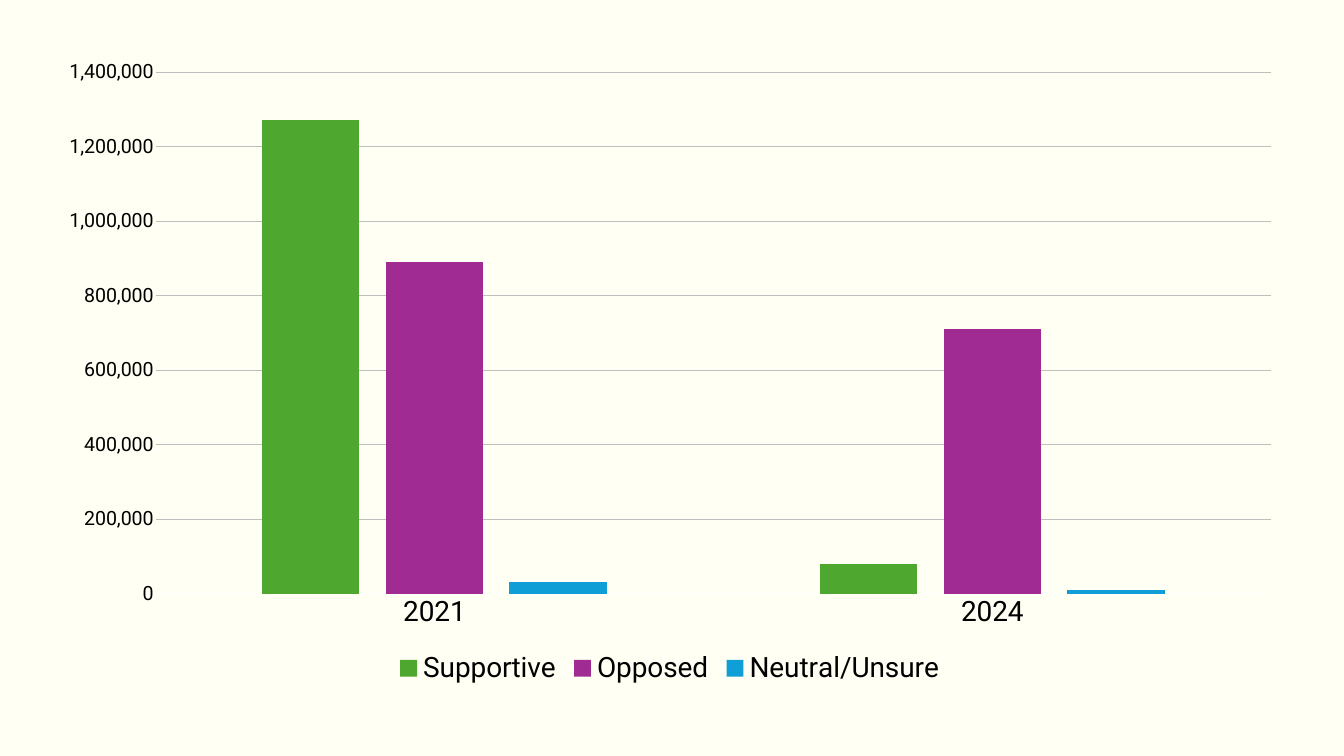
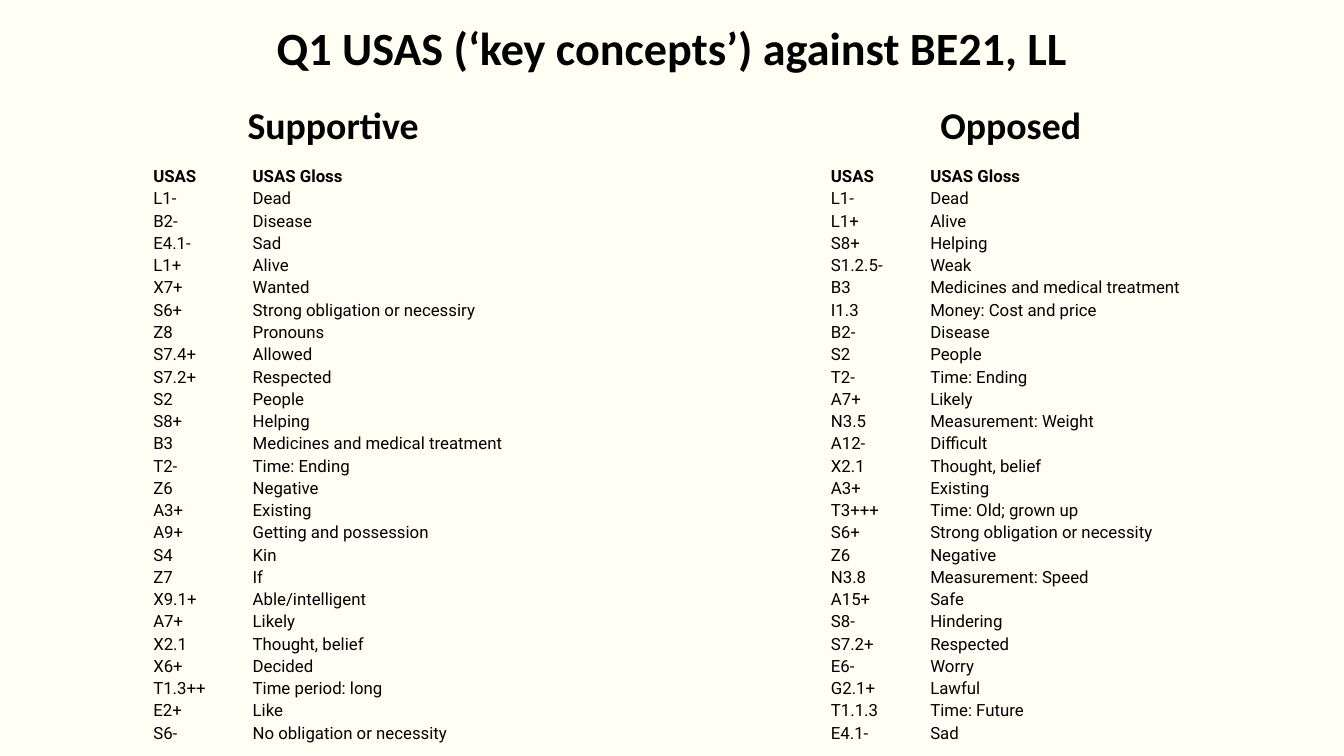
from lxml import etree
from pptx import Presentation
from pptx.chart.data import CategoryChartData
from pptx.dml.color import RGBColor
from pptx.enum.chart import XL_CHART_TYPE, XL_LEGEND_POSITION, XL_TICK_MARK
from pptx.enum.text import MSO_ANCHOR, PP_ALIGN
from pptx.oxml import parse_xml
from pptx.oxml.ns import nsdecls, qn
from pptx.util import Pt

CLUSTERED = XL_CHART_TYPE.COLUMN_CLUSTERED
LEGEND_BOTTOM = XL_LEGEND_POSITION.BOTTOM
NO_TICK = XL_TICK_MARK.NONE
CENTER = PP_ALIGN.CENTER
LEFT = PP_ALIGN.LEFT
MIDDLE = MSO_ANCHOR.MIDDLE
BOTTOM = MSO_ANCHOR.BOTTOM

SLIDE_W, SLIDE_H = 1920, 1080
IVORY, BLACK, WHITE, GRID_GREY = "FFFFF3", "000000", "FFFFFF", "BEBEBE"
HEAD_FONT, BODY_FONT = "Calibri", "Roboto"

YEARS = ["2021", "2024"]
STANCES = [
    ("Supportive", [1270000, 80000], "4EA72E"),
    ("Opposed", [890000, 710000], "A02B93"),
    ("Neutral/Unsure", [30000, 10000], "0F9ED5"),
]

HEADER = ("USAS", "USAS Gloss")
SUPPORTIVE = [
    ("L1-", "Dead"),
    ("B2-", "Disease"),
    ("E4.1-", "Sad"),
    ("L1+", "Alive"),
    ("X7+", "Wanted"),
    ("S6+", "Strong obligation or necessiry"),
    ("Z8", "Pronouns"),
    ("S7.4+", "Allowed"),
    ("S7.2+", "Respected"),
    ("S2", "People"),
    ("S8+", "Helping"),
    ("B3", "Medicines and medical treatment"),
    ("T2-", "Time: Ending"),
    ("Z6", "Negative"),
    ("A3+", "Existing"),
    ("A9+", "Getting and possession"),
    ("S4", "Kin"),
    ("Z7", "If"),
    ("X9.1+", "Able/intelligent"),
    ("A7+", "Likely"),
    ("X2.1", "Thought, belief"),
    ("X6+", "Decided"),
    ("T1.3++", "Time period: long"),
    ("E2+", "Like"),
    ("S6-", "No obligation or necessity"),
]
OPPOSED = [
    ("L1-", "Dead"),
    ("L1+", "Alive"),
    ("S8+", "Helping"),
    ("S1.2.5-", "Weak"),
    ("B3", "Medicines and medical treatment"),
    ("I1.3", "Money: Cost and price"),
    ("B2-", "Disease"),
    ("S2", "People"),
    ("T2-", "Time: Ending"),
    ("A7+", "Likely"),
    ("N3.5", "Measurement: Weight"),
    ("A12-", "Difficult"),
    ("X2.1", "Thought, belief"),
    ("A3+", "Existing"),
    ("T3+++", "Time: Old; grown up"),
    ("S6+", "Strong obligation or necessity"),
    ("Z6", "Negative"),
    ("N3.8", "Measurement: Speed"),
    ("A15+", "Safe"),
    ("S8-", "Hindering"),
    ("S7.2+", "Respected"),
    ("E6-", "Worry"),
    ("G2.1+", "Lawful"),
    ("T1.1.3", "Time: Future"),
    ("E4.1-", "Sad"),
]


def rgb(value):
    return RGBColor.from_string(value)


def set_font(font, size, name=BODY_FONT, bold=False):
    font.size, font.name, font.bold = Pt(size), name, bold
    font.color.rgb = rgb(BLACK)


def write(tf, text, size, name=BODY_FONT, bold=False, align=LEFT):
    tf.word_wrap = True
    p = tf.paragraphs[0]
    p.alignment = align
    r = p.add_run()
    r.text = text
    set_font(r.font, size, name, bold)


def place(sp, x, y, w, h):
    sp.left, sp.top, sp.width, sp.height = Pt(x), Pt(y), Pt(w), Pt(h)


def set_plot_layout(chart, x, y, w, h):
    """Fix the inner plot area, in fractions of the chart."""
    plot_area = chart._chartSpace.chart.plotArea
    for old in plot_area.findall(qn("c:layout")):
        plot_area.remove(old)
    layout = etree.Element(qn("c:layout"))
    manual = etree.SubElement(layout, qn("c:manualLayout"))
    for tag, value in (("layoutTarget", "inner"), ("xMode", "edge"), ("yMode", "edge"),
                       ("x", x), ("y", y), ("w", w), ("h", h)):
        etree.SubElement(manual, qn(f"c:{tag}")).set("val", str(value))
    plot_area.insert(0, layout)


def add_stance_chart(slide, x, y, w, h):
    data = CategoryChartData(number_format="#,##0")
    data.categories = YEARS
    for name, values, _ in STANCES:
        data.add_series(name, values)
    chart = slide.shapes.add_chart(CLUSTERED, Pt(x), Pt(y), Pt(w), Pt(h), data).chart
    set_font(chart.font, 40)
    chart.has_title = False
    chart.has_legend = True
    chart.legend.position = LEGEND_BOTTOM
    chart.legend.include_in_layout = False
    set_font(chart.legend.font, 40)

    plot = chart.plots[0]
    plot.gap_width, plot.overlap, plot.vary_by_categories = 219, -27, False
    for series, (_, _, color) in zip(plot.series, STANCES):
        series.format.fill.solid()
        series.format.fill.fore_color.rgb = rgb(color)

    for axis, size in ((chart.category_axis, 40), (chart.value_axis, 28)):
        axis.major_tick_mark = axis.minor_tick_mark = NO_TICK
        set_font(axis.tick_labels.font, size)
    years, counts = chart.category_axis, chart.value_axis
    counts.minimum_scale, counts.maximum_scale, counts.major_unit = 0, 1400000, 200000
    counts.tick_labels.number_format = "#,##0"
    counts.tick_labels.number_format_is_linked = False
    counts.format.line.fill.background()
    counts.has_major_gridlines = True
    for line, color in ((years.format.line, WHITE), (counts.major_gridlines.format.line, GRID_GREY)):
        line.width = Pt(0.75)
        line.color.rgb = rgb(color)
    set_plot_layout(chart, 0.09, 0.04, 0.89, 0.81)


def set_borders(cell, inner_sides):
    """Draw thin white lines on the inner sides and none on the others."""
    tc_pr = cell._tc.get_or_add_tcPr()
    for i, side in enumerate("LRTB"):
        if side in inner_sides:
            fill = f'<a:solidFill><a:srgbClr val="{WHITE}"/></a:solidFill>'
        else:
            fill = "<a:noFill/>"
        ln = parse_xml(f'<a:ln{side} {nsdecls("a")} w="{Pt(1)}">{fill}</a:ln{side}>')
        tc_pr.insert(i, ln)


def add_concept_table(slide, x, y, w, h, concepts):
    rows = [HEADER] + concepts
    code_w = 142
    table = slide.shapes.add_table(len(rows), 2, Pt(x), Pt(y), Pt(w), Pt(h)).table
    table.horz_banding = table.first_row = False
    table.columns[0].width, table.columns[1].width = Pt(code_w), Pt(w - code_w)
    for i, row in enumerate(rows):
        table.rows[i].height = Pt(h / len(rows))
        for j, text in enumerate(row):
            cell = table.cell(i, j)
            cell.fill.background()
            cell.vertical_anchor = BOTTOM
            cell.margin_left = cell.margin_right = cell.margin_top = Pt(3)
            cell.margin_bottom = 0
            write(cell.text_frame, text, 24, bold=i == 0)
            top = "T" if i > 0 else ""
            bottom = "B" if i < len(rows) - 1 else ""
            set_borders(cell, "RL"[j] + top + bottom)


def add_concept_column(slide, x, y, w, heading, concepts):
    sp = slide.shapes.add_textbox(Pt(x), Pt(y), Pt(w), Pt(73))
    write(sp.text_frame, heading, 54, HEAD_FONT, True, CENTER)
    add_concept_table(slide, x + 165, y + 93, 519, 822, concepts)


def add_title(slide, text, x, y, w, h):
    sp = slide.shapes.title
    place(sp, x, y, w, h)
    sp.text_frame.vertical_anchor = MIDDLE
    write(sp.text_frame, text, 66, HEAD_FONT, True, CENTER)


def build_chart_slide(prs):
    slide = prs.slides.add_slide(prs.slide_layouts[6])
    add_stance_chart(slide, 61, 66, 1791, 920)


def build_concepts_slide(prs):
    slide = prs.slides.add_slide(prs.slide_layouts[5])
    add_title(slide, "Q1 USAS (‘key concepts’) against BE21, LL", 277, 23, 1366, 87)
    columns = (("Supportive", SUPPORTIVE), ("Opposed", OPPOSED))
    for i, (heading, concepts) in enumerate(columns):
        add_concept_column(slide, 51 + i * 968, 142, 850, heading, concepts)


def main():
    prs = Presentation()
    prs.slide_width, prs.slide_height = Pt(SLIDE_W), Pt(SLIDE_H)
    fill = prs.slide_master.background.fill
    fill.solid()
    fill.fore_color.rgb = rgb(IVORY)
    build_chart_slide(prs)
    build_concepts_slide(prs)
    prs.save("out.pptx")


if __name__ == "__main__":
    main()
